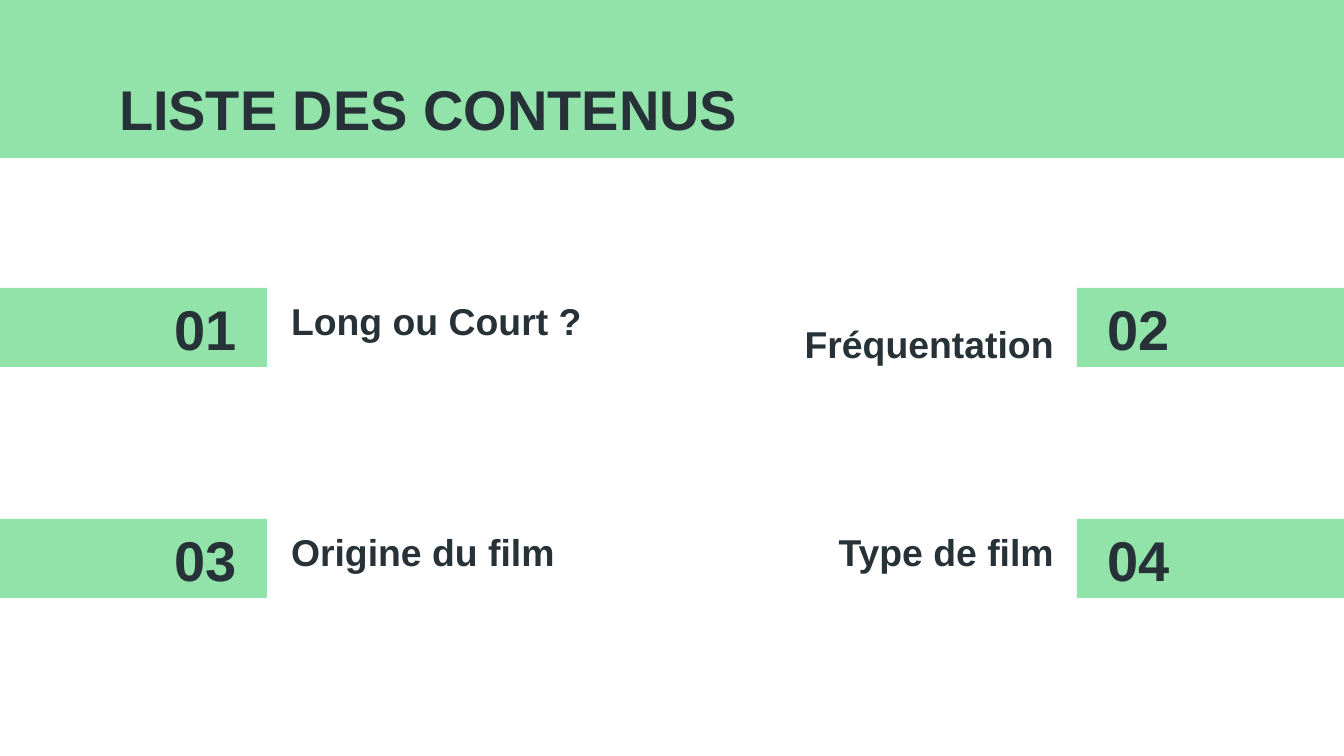
import pptx
import pptx.util
import pptx.dml.color
import pptx.enum.shapes
import pptx.enum.text
from dataclasses import dataclass

ALIGN = pptx.enum.text.PP_ALIGN


@dataclass
class Theme:
    green: str = "92E3A9"
    dark: str = "263238"
    font: str = "Arial"
    large: int = 30
    small: int = 20
    inset: int = 13


class Deck:
    def __init__(self, theme, wide, high):
        self.theme = theme
        self.file = pptx.Presentation()
        self.file.slide_width = self.px(wide)
        self.file.slide_height = self.px(high)
        self.slide = self.file.slides.add_slide(self.file.slide_layouts[5])

    def px(self, count):
        return pptx.util.Emu(round(count * 914400 / 134.4))

    def color(self, code):
        return pptx.dml.color.RGBColor.from_string(code)

    def bar(self, *box):
        kind = pptx.enum.shapes.MSO_SHAPE.RECTANGLE
        shape = self.slide.shapes.add_shape(kind, *map(self.px, box))
        shape.shadow.inherit = False
        shape.fill.solid()
        shape.fill.fore_color.rgb = self.color(self.theme.green)
        shape.line.fill.background()

    def style(self, shape, text, size, align):
        frame = shape.text_frame
        frame.text = text
        frame.word_wrap = True
        frame.auto_size = pptx.enum.text.MSO_AUTO_SIZE.NONE
        frame.vertical_anchor = pptx.enum.text.MSO_ANCHOR.MIDDLE
        inset = self.px(self.theme.inset)
        frame.margin_left = frame.margin_right = inset
        frame.margin_top = frame.margin_bottom = inset
        line = frame.paragraphs[0]
        line.alignment = align
        line.font.name = self.theme.font
        line.font.size = pptx.util.Pt(size)
        line.font.bold = True
        line.font.color.rgb = self.color(self.theme.dark)

    def title(self, text, *box):
        shape = self.slide.shapes.title
        shape.left, shape.top, shape.width, shape.height = map(self.px, box)
        self.style(shape, text, self.theme.large, ALIGN.LEFT)
        self.slide.shapes._spTree.append(shape._element)

    def label(self, text, size, align, *box):
        shape = self.slide.shapes.add_textbox(*map(self.px, box))
        self.style(shape, text, size, align)


def main():
    theme = Theme()
    deck = Deck(theme, 1344, 756)
    deck.bar(0, 0, 1344, 158)
    deck.title("LISTE DES CONTENUS", 106, 66, 1133, 85)

    sides = [(0, 145, 278, ALIGN.LEFT), (1077, 1078, 723, ALIGN.RIGHT)]
    topics = [
        ("Long ou Court ?", 0),
        ("Fréquentation", 23),
        ("Origine du film", 0),
        ("Type de film", 0),
    ]
    for index, (topic, drop) in enumerate(topics):
        row, side = divmod(index, 2)
        top = 288 + row * 231
        bar, number, label, align = sides[side]
        deck.bar(bar, top, 267, 79)
        deck.label(topic, theme.small, align, label, top + 12 + drop, 344, 42)
        deck.label(f"{index + 1:02}", theme.large, ALIGN.CENTER,
                   number, top + 11, 121, 58)

    deck.file.save("out.pptx")


if __name__ == "__main__":
    main()
